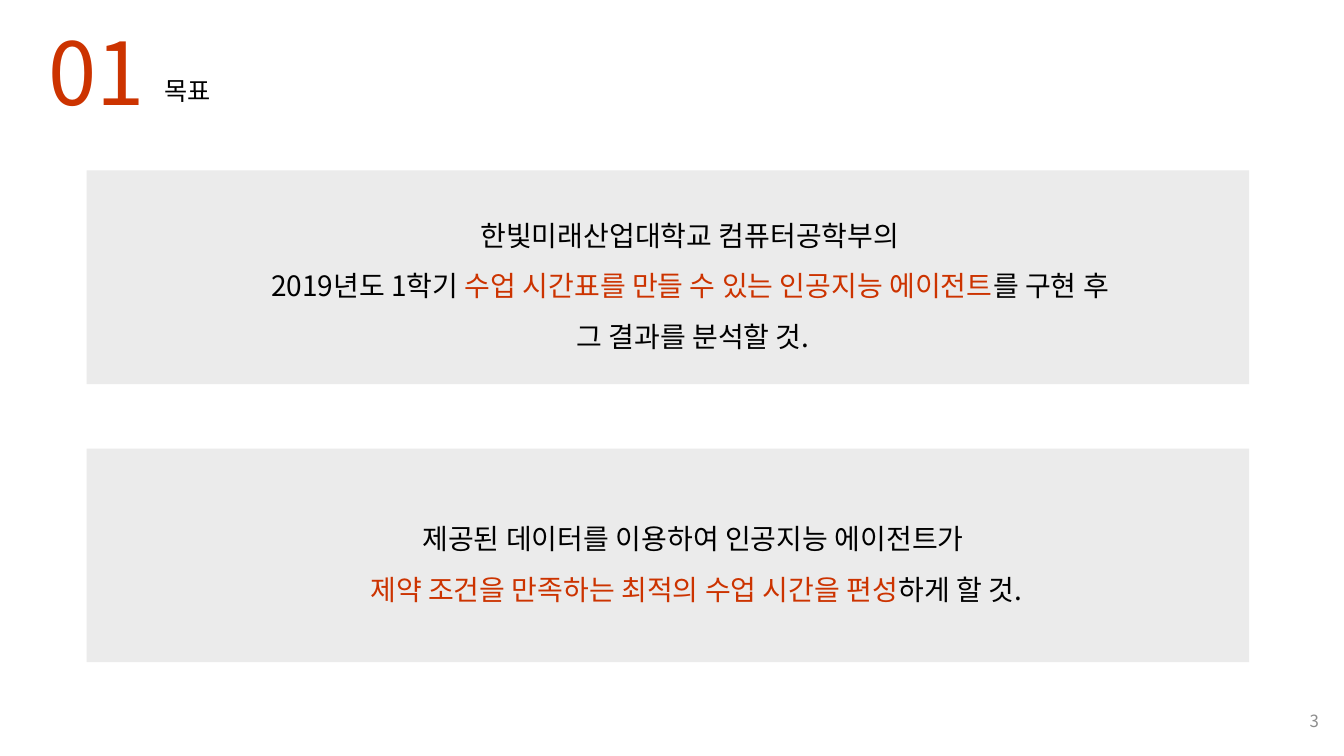
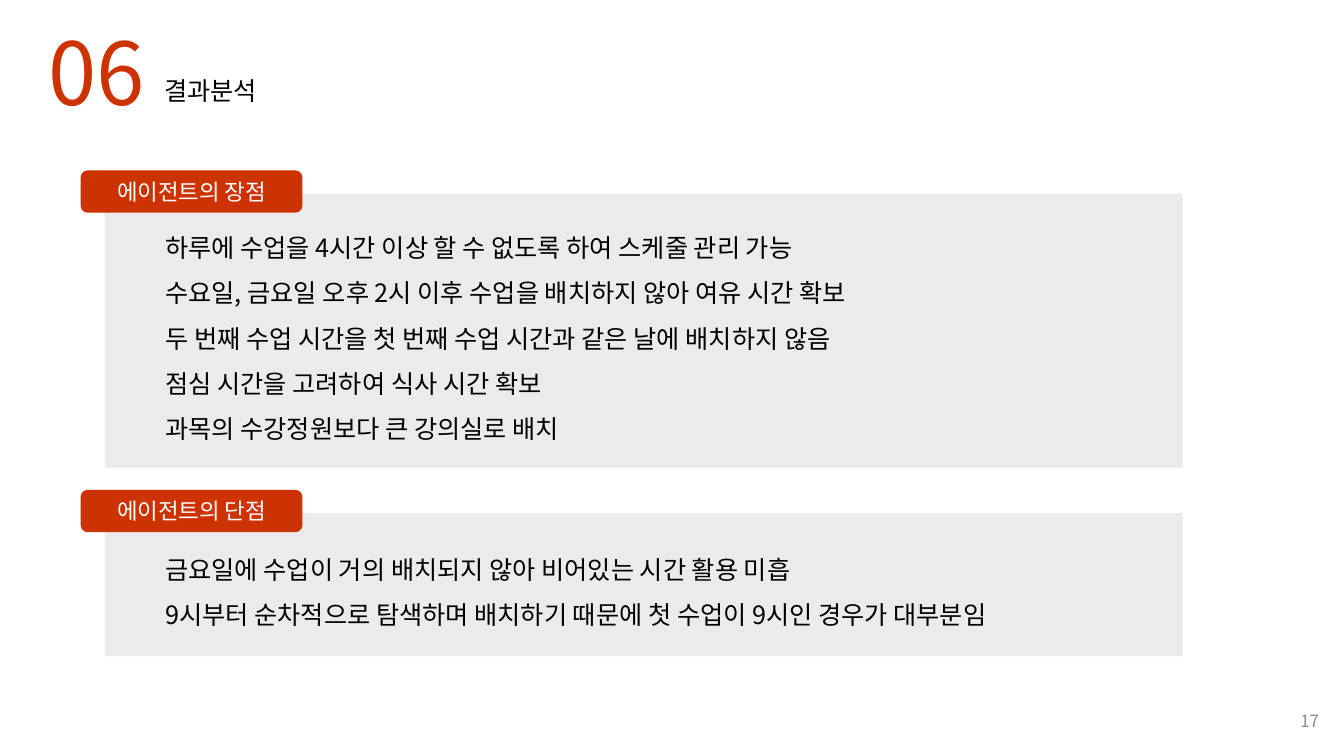
from dataclasses import dataclass

from lxml.etree import SubElement
from pptx import Presentation
from pptx.dml.color import RGBColor
from pptx.enum.shapes import MSO_SHAPE
from pptx.enum.text import MSO_ANCHOR as Anchor, MSO_AUTO_SIZE as AutoSize, PP_ALIGN as Align
from pptx.oxml.ns import qn
from pptx.util import Pt

EMU_PER_PX = 9144
TWO_CONTENT = 3
PANEL_INDENT = 50
TAG_RISE = 23


@dataclass(frozen=True)
class Theme:
    font: str = "Noto Sans CJK KR"
    ink: RGBColor = RGBColor(0x00, 0x00, 0x00)
    accent: RGBColor = RGBColor(0xCC, 0x33, 0x00)
    panel: RGBColor = RGBColor(0xA1, 0xA1, 0xA1)
    panel_opacity: int = 21000
    page: RGBColor = RGBColor(0x8C, 0x8C, 0x8C)
    white: RGBColor = RGBColor(0xFF, 0xFF, 0xFF)
    chapter_size: int = 62
    goal_size: int = 20
    title_size: int = 18
    list_size: int = 18
    tag_size: int = 16
    page_size: int = 12


THEME = Theme()


def px(length):
    return length * EMU_PER_PX


def place(shape, left, top, width, height):
    shape.left, shape.top = px(left), px(top)
    shape.width, shape.height = px(width), px(height)


def style_run(run, size, color):
    run.font.size = Pt(size)
    run.font.color.rgb = color
    run.font.name = THEME.font
    SubElement(run.font._element, qn("a:ea"), typeface=THEME.font)


def write(shape, lines, size, color, align=Align.LEFT, anchor=Anchor.MIDDLE, spacing=1.0, indent=0):
    """Write one paragraph a line; text between bars takes the accent colour."""
    frame = shape.text_frame
    frame.word_wrap = True
    frame.auto_size = AutoSize.NONE
    frame.vertical_anchor = anchor
    for index, line in enumerate(lines):
        paragraph = frame.add_paragraph() if index else frame.paragraphs[0]
        paragraph.alignment = align
        paragraph.line_spacing = spacing
        paragraph.space_before = Pt(0)
        properties = paragraph._p.get_or_add_pPr()
        properties.set("marL", str(px(indent)))
        properties.set("indent", "0")
        SubElement(properties, qn("a:buNone"))
        for part, text in enumerate(line.split("|")):
            run = paragraph.add_run()
            run.text = text
            style_run(run, size, THEME.accent if part % 2 else color)


def add_label(slide, box, text, size, color, **layout):
    label = slide.shapes.add_textbox(*map(px, box))
    write(label, [text], size, color, **layout)


def add_chapter_slide(deck, chapter, title, page):
    slide = deck.slides.add_slide(deck.slide_layouts[TWO_CONTENT])
    place(slide.shapes.title, 153, 55, 633, 51)
    write(slide.shapes.title, [title], THEME.title_size, THEME.ink, anchor=Anchor.TOP, spacing=1.5)
    add_label(slide, (38, 14, 132, 114), chapter, THEME.chapter_size, THEME.accent, anchor=Anchor.TOP)
    add_label(slide, (1018, 695, 300, 40), page, THEME.page_size, THEME.page, align=Align.RIGHT)
    return slide


def fill_panel(panel, box, lines, size, align):
    place(panel, *box)
    panel.fill.solid()
    panel.fill.fore_color.rgb = THEME.panel
    tint = panel.element.spPr.find(".//" + qn("a:srgbClr"))
    SubElement(tint, qn("a:alpha"), val=str(THEME.panel_opacity))
    write(panel, lines, size, THEME.ink, align=align, spacing=1.5, indent=PANEL_INDENT)


def add_tag(slide, panel_top, text):
    box = (80, panel_top - TAG_RISE, 220, 42)
    tag = slide.shapes.add_shape(MSO_SHAPE.ROUNDED_RECTANGLE, *map(px, box))
    tag.shadow.inherit = False
    tag.fill.solid()
    tag.fill.fore_color.rgb = THEME.accent
    tag.line.fill.background()
    write(tag, [text], THEME.tag_size, THEME.white, align=Align.CENTER)


def build_goals(deck):
    slide = add_chapter_slide(deck, "01", "목표", "3")
    goals = [
        (169, [
            "한빛미래산업대학교 컴퓨터공학부의 ",
            "2019년도 1학기 |수업 시간표를 만들 수 있는 인공지능 에이전트|를 구현 후 ",
            "그 결과를 분석할 것.",
        ]),
        (445, [
            "제공된 데이터를 이용하여 인공지능 에이전트가",
            " |제약 조건을 만족하는 최적의 수업 시간을 편성|하게 할 것.",
        ]),
    ]
    for index, (top, lines) in enumerate(goals, start=1):
        fill_panel(slide.placeholders[index], (86, top, 1153, 212), lines, THEME.goal_size, Align.CENTER)


def build_analysis(deck):
    slide = add_chapter_slide(deck, "06", "결과분석", "17")
    findings = [
        ("에이전트의 장점", 192, 272, [
            "하루에 수업을 4시간 이상 할 수 없도록 하여 스케줄 관리 가능",
            "수요일, 금요일 오후 2시 이후 수업을 배치하지 않아 여유 시간 확보",
            "두 번째 수업 시간을 첫 번째 수업 시간과 같은 날에 배치하지 않음",
            "점심 시간을 고려하여 식사 시간 확보",
            "과목의 수강정원보다 큰 강의실로 배치",
        ]),
        ("에이전트의 단점", 509, 142, [
            "금요일에 수업이 거의 배치되지 않아 비어있는 시간 활용 미흡",
            "9시부터 순차적으로 탐색하며 배치하기 때문에 첫 수업이 9시인 경우가 대부분임",
        ]),
    ]
    for index, (heading, top, height, lines) in enumerate(findings, start=1):
        fill_panel(slide.placeholders[index], (104, top, 1069, height), lines, THEME.list_size, Align.LEFT)
        add_tag(slide, top, heading)


def main():
    deck = Presentation()
    deck.slide_width, deck.slide_height = px(1333), px(750)
    build_goals(deck)
    build_analysis(deck)
    deck.save("out.pptx")


if __name__ == "__main__":
    main()
